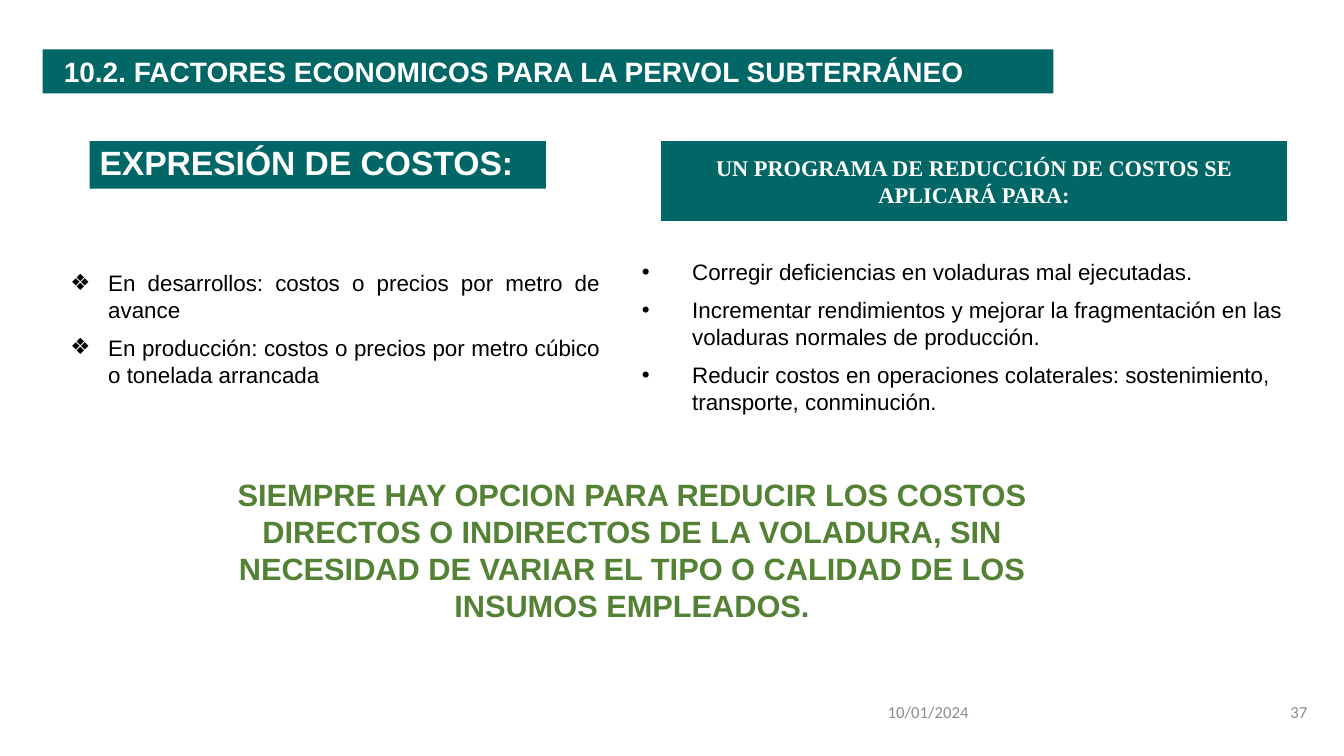
from lxml.etree import SubElement
from pptx import Presentation
from pptx.dml.color import RGBColor
from pptx.enum.shapes import MSO_SHAPE as SHAPE
from pptx.enum.text import MSO_ANCHOR as ANCHOR, PP_ALIGN as ALIGN
from pptx.oxml.ns import qn
from pptx.util import Pt

COLORS = {"teal": "006666", "white": "FFFFFF", "black": "000000",
          "green": "548235", "gray": "8C8C8C"}


def rgb(name):
    return RGBColor.from_string(COLORS[name])


def add_run(p, text, size, color, font="Arial", bold=False):
    r = p.add_run()
    r.text = text
    r.font.size = Pt(size)
    r.font.name = font
    r.font.bold = bold
    r.font.color.rgb = rgb(color)


def add_panel(s, box, fill, anchor=ANCHOR.MIDDLE, opacity=100):
    """Add a borderless rectangle and return its text frame."""
    sp = s.shapes.add_shape(SHAPE.RECTANGLE, *map(Pt, box))
    sp.shadow.inherit = False
    sp.line.fill.background()
    sp.fill.solid()
    sp.fill.fore_color.rgb = rgb(fill)
    if opacity < 100:
        clr = sp.fill._xPr.find(".//" + qn("a:srgbClr"))
        SubElement(clr, qn("a:alpha"), val=str(opacity * 1000))
    tf = sp.text_frame
    tf.word_wrap = True
    tf.vertical_anchor = anchor
    return tf


def add_heading(s, box, text, size, color="white", fill="teal",
                align=ALIGN.CENTER, font="Arial", opacity=100):
    p = add_panel(s, box, fill, opacity=opacity).paragraphs[0]
    p.alignment = align
    add_run(p, text, size, color, font, bold=True)
    return p


def set_bullet(p, char, indent):
    pPr = p._p.get_or_add_pPr()
    pPr.set("marL", str(Pt(indent)))
    pPr.set("indent", str(-Pt(indent)))
    clr = SubElement(pPr, qn("a:buClr"))
    SubElement(clr, qn("a:srgbClr"), val=COLORS["black"])
    SubElement(pPr, qn("a:buFont"), typeface="Arial")
    SubElement(pPr, qn("a:buChar"), char=char)


def add_bullets(s, box, items, char, indent, align):
    tf = add_panel(s, box, "white", ANCHOR.TOP, opacity=60)
    for i, item in enumerate(items):
        p = tf.add_paragraph() if i else tf.paragraphs[0]
        set_bullet(p, char, indent)
        p.alignment = align
        if i:
            p.space_before = Pt(8)
        add_run(p, item, 16, "black")


def add_footer(s, box, text, align):
    tf = s.shapes.add_textbox(*map(Pt, box)).text_frame
    tf.word_wrap = True
    tf.vertical_anchor = ANCHOR.MIDDLE
    p = tf.paragraphs[0]
    p.alignment = align
    add_run(p, text, 12, "gray", "Calibri")


def main():
    prs = Presentation()
    prs.slide_width, prs.slide_height = Pt(960), Pt(540)
    s = prs.slides.add_slide(prs.slide_layouts[6])

    # Section title
    p = add_heading(s, (30.5, 35.3, 722, 31.5),
                    "10.2. FACTORES ECONOMICOS PARA LA PERVOL SUBTERRÁNEO",
                    20, align=ALIGN.LEFT)
    pPr = p._p.get_or_add_pPr()
    pPr.set("marL", str(Pt(42.5)))
    pPr.set("indent", str(-Pt(34.5)))

    # Left column: how costs are expressed
    p = add_heading(s, (64, 100.8, 326, 34), "EXPRESIÓN DE COSTOS:", 24,
                    align=ALIGN.LEFT)
    p.line_spacing = 0.9
    add_bullets(s, (43.2, 188.6, 392.4, 94.3), [
        "En desarrollos: costos o precios por metro de avance",
        "En producción: costos o precios por metro cúbico o tonelada arrancada",
    ], "❖", 27, ALIGN.JUSTIFY)

    # Right column: cost reduction programme
    add_heading(s, (472.3, 100.8, 447, 57),
                "UN PROGRAMA DE REDUCCIÓN DE COSTOS SE APLICARÁ PARA:",
                16, font="Times New Roman")
    add_bullets(s, (451.4, 180.7, 491.8, 123.8), [
        "Corregir deficiencias en voladuras mal ejecutadas.",
        "Incrementar rendimientos y mejorar la fragmentación en las "
        "voladuras normales de producción.",
        "Reducir costos en operaciones colaterales: sostenimiento, "
        "transporte, conminución.",
    ], "•", 36, ALIGN.LEFT)

    # Closing message
    add_heading(s, (125.3, 327.6, 652.3, 130.3),
                "SIEMPRE HAY OPCION PARA REDUCIR LOS COSTOS DIRECTOS O "
                "INDIRECTOS DE LA VOLADURA, SIN NECESIDAD DE VARIAR EL TIPO "
                "O CALIDAD DE LOS INSUMOS EMPLEADOS.",
                22, color="green", fill="white", opacity=60)

    # Date and slide number
    add_footer(s, (627, 494, 258, 28.8), "10/01/2024", ALIGN.LEFT)
    add_footer(s, (890.6, 494, 50.4, 28.8), "37", ALIGN.RIGHT)

    prs.save("out.pptx")


if __name__ == "__main__":
    main()
